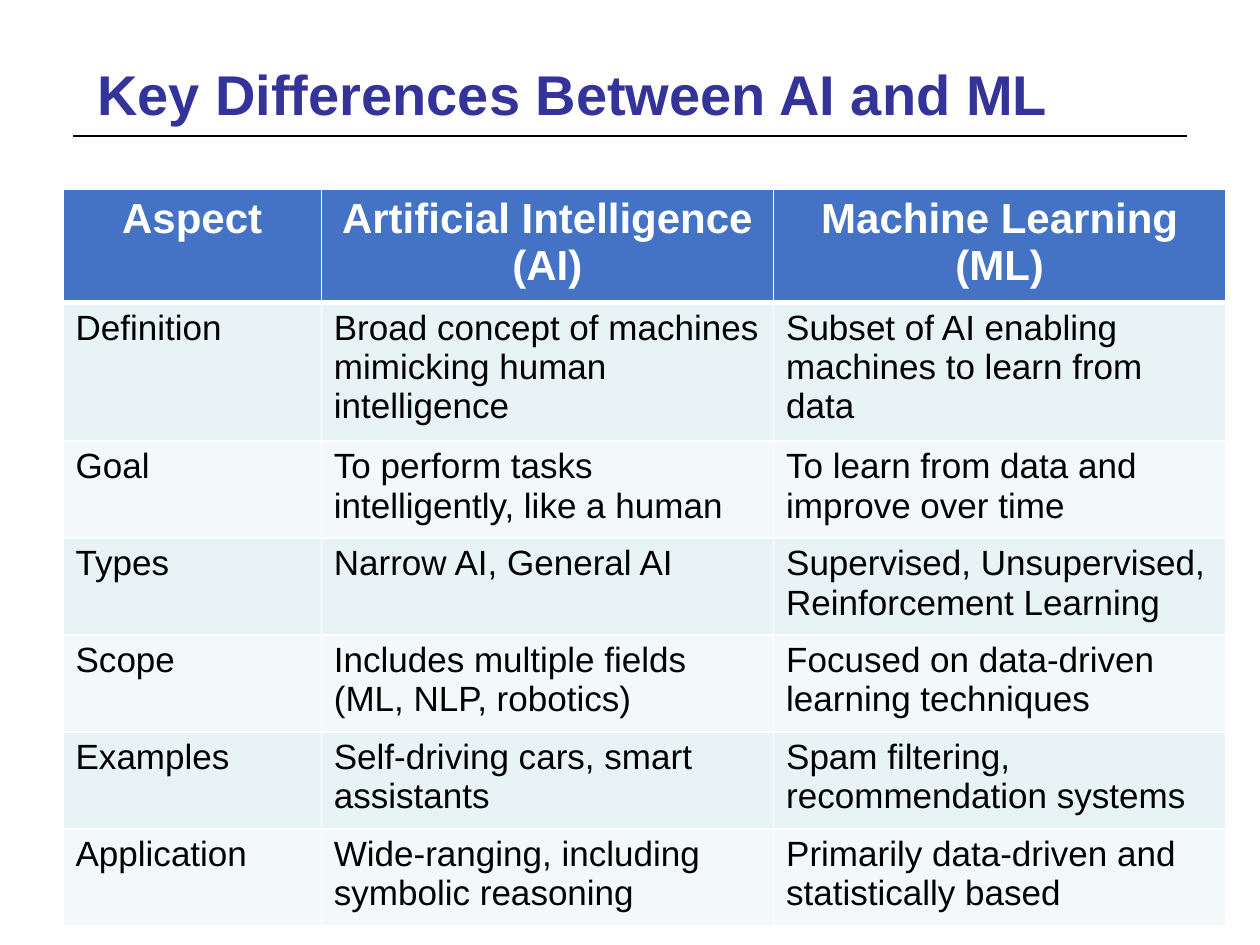
from lxml import etree
from pptx import Presentation
from pptx.dml.color import RGBColor
from pptx.enum.shapes import MSO_CONNECTOR
from pptx.enum.text import MSO_ANCHOR, PP_ALIGN
from pptx.oxml.ns import qn
from pptx.util import Inches, Pt

STRAIGHT = MSO_CONNECTOR.STRAIGHT
TOP = MSO_ANCHOR.TOP
LEFT, CENTER = PP_ALIGN.LEFT, PP_ALIGN.CENTER

NAVY = RGBColor(0x33, 0x33, 0x99)
BLUE = RGBColor(0x44, 0x72, 0xC4)
BLACK = RGBColor(0x00, 0x00, 0x00)
WHITE = RGBColor(0xFF, 0xFF, 0xFF)
BANDS = (RGBColor(0xF3, 0xF9, 0xFA), RGBColor(0xE7, 0xF3, 0xF4))

FONT = "Arial"
COL_WIDTHS = (2.05, 3.59, 3.59)
ROW_HEIGHTS = (0.9, 1.1) + (0.77,) * 5
ROWS = (
    ("Aspect", "Artificial Intelligence (AI)", "Machine Learning (ML)"),
    ("Definition", "Broad concept of machines mimicking human intelligence",
     "Subset of AI enabling machines to learn from data"),
    ("Goal", "To perform tasks intelligently, like a human",
     "To learn from data and improve over time"),
    ("Types", "Narrow AI, General AI",
     "Supervised, Unsupervised, Reinforcement Learning"),
    ("Scope", "Includes multiple fields (ML, NLP, robotics)",
     "Focused on data-driven learning techniques"),
    ("Examples", "Self-driving cars, smart assistants",
     "Spam filtering, recommendation systems"),
    ("Application", "Wide-ranging, including symbolic reasoning",
     "Primarily data-driven and statistically based"),
)


def format_text(tf, size, color, bold, align):
    p = tf.paragraphs[0]
    p.alignment = align
    font = p.runs[0].font
    font.name, font.size, font.bold = FONT, Pt(size), bold
    font.color.rgb = color


def set_borders(cell, widths):
    tc_pr = cell._tc.get_or_add_tcPr()
    for i, (side, width) in enumerate(widths.items()):
        ln = etree.Element(qn(f"a:ln{side}"), w=str(Pt(width)))
        fill = etree.SubElement(ln, qn("a:solidFill"))
        etree.SubElement(fill, qn("a:srgbClr"), val=str(WHITE))
        tc_pr.insert(i, ln)


def add_title(s, text, left, top, width, height):
    title = s.shapes.title
    title.left, title.top = Inches(left), Inches(top)
    title.width, title.height = Inches(width), Inches(height)
    tf = title.text_frame
    tf.text = text
    tf.vertical_anchor = TOP
    format_text(tf, 32, NAVY, True, LEFT)


def add_rule(s, left, top, width):
    line = s.shapes.add_connector(STRAIGHT, Inches(left), Inches(top),
                                  Inches(left + width), Inches(top))
    line.line.color.rgb = BLACK
    line.line.width = Pt(1)
    etree.SubElement(line._element.spPr, qn("a:effectLst"))


def add_comparison(s, left, top):
    table = s.shapes.add_table(
        len(ROWS), len(COL_WIDTHS), Inches(left), Inches(top),
        Inches(sum(COL_WIDTHS)), Inches(sum(ROW_HEIGHTS))).table
    for col, width in zip(table.columns, COL_WIDTHS):
        col.width = Inches(width)
    for i, (row, height, texts) in enumerate(zip(table.rows, ROW_HEIGHTS, ROWS)):
        row.height = Inches(height)
        header = i == 0
        for cell, text in zip(row.cells, texts):
            cell.text_frame.text = text
            cell.fill.solid()
            cell.fill.fore_color.rgb = BLUE if header else BANDS[i % 2]
            set_borders(cell, {"L": 1, "R": 1, "T": 3 if i == 1 else 1,
                               "B": 3 if header else 1})
            if header:
                format_text(cell.text_frame, 24, WHITE, True, CENTER)
            else:
                format_text(cell.text_frame, 20, BLACK, False, LEFT)


def main():
    prs = Presentation()
    prs.slide_width, prs.slide_height = Inches(10), Inches(7.5)
    s = prs.slides.add_slide(prs.slide_layouts[5])
    add_rule(s, 0.58, 1.08, 8.84)
    add_title(s, "Key Differences Between AI and ML", 0.67, 0.42, 8.67, 1)
    add_comparison(s, 0.5, 1.5)
    prs.save("out.pptx")


if __name__ == "__main__":
    main()
